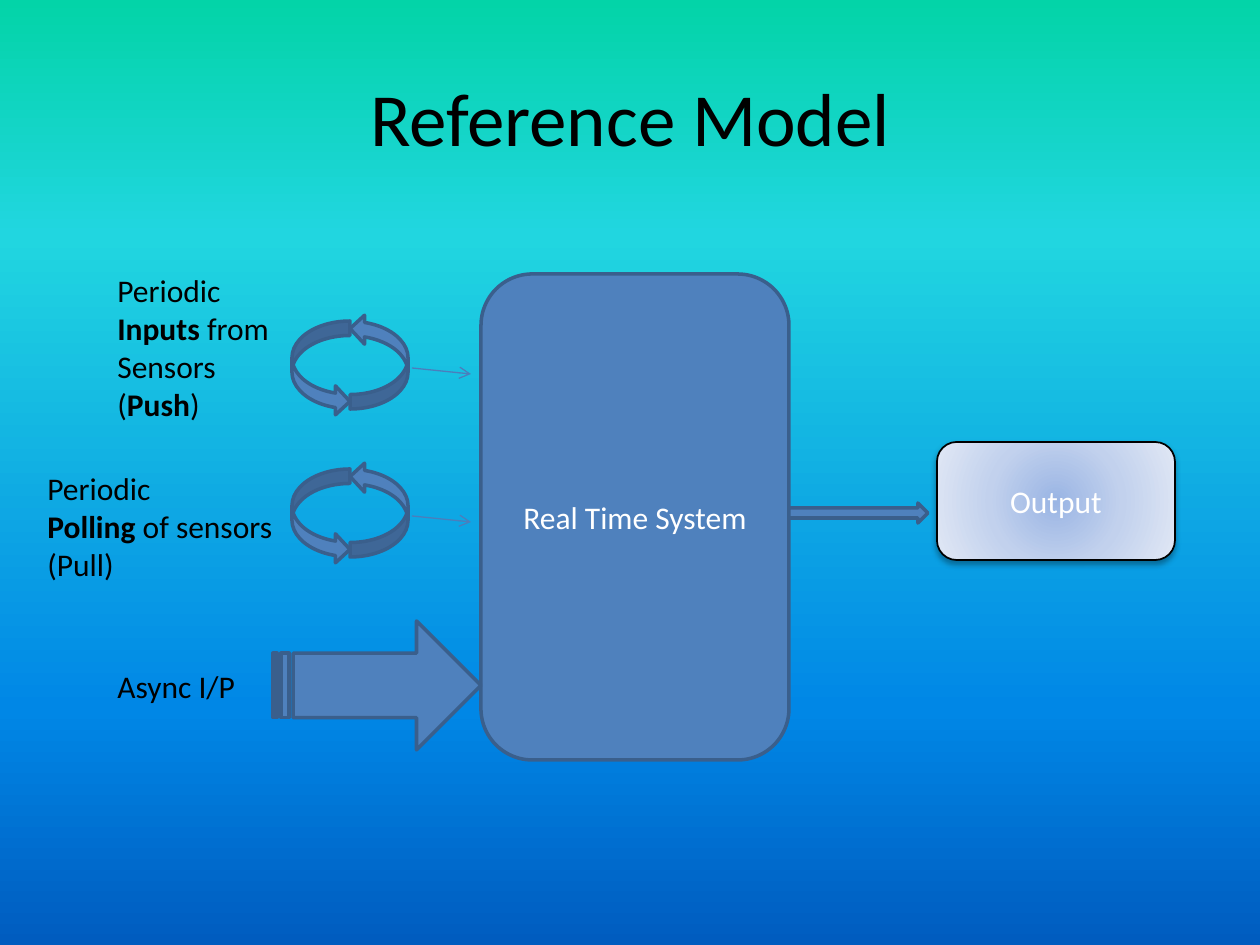
from lxml.etree import SubElement
from pptx import Presentation
from pptx.dml.color import RGBColor
from pptx.enum.shapes import MSO_CONNECTOR, MSO_SHAPE as Preset
from pptx.enum.text import MSO_ANCHOR as Anchor, MSO_AUTO_SIZE as AutoSize, PP_ALIGN as Align
from pptx.oxml import parse_xml
from pptx.oxml.ns import nsdecls, qn
from pptx.util import Pt


class Theme:
    font = "Calibri"
    title_size, text_size = 42.9, 18
    text, light_text = "000000", "FFFFFF"
    fill, outline, feed = "4F81BD", "3A5F8C", "4B7EBC"
    background = [(0, "03D4A8"), (25, "21D6E0"), (75, "0087E6"), (100, "005CBF")]
    output = [(0, "9AB5E4"), (50, "C2D1ED"), (100, "E1E8F5")]


# Content: paragraphs are lists of (text, bold) spans; places are in px
TITLE = [[("Reference Model", False)]]
TITLE_PLACE = (63, 38, 1134, 157)
LABELS = [
    ((105, 265, 178, 165), [
        [("Periodic", False)],
        [("Inputs", True), (" from", False)],
        [("Sensors", False)],
        [("(", False), ("Push", True), (")", False)]]),
    ((35, 463, 252, 127), [
        [("Periodic", False)],
        [("Polling", True), (" of sensors", False)],
        [("(Pull)", False)]]),
    ((105, 661, 144, 51), [[("Async I/P", False)]]),
]
SYSTEM = ("Real Time System", (481, 274, 308, 486))
OUTPUT = ("Output", (937, 442, 238, 118))
OUTPUT_ARROW = (789, 503, 139, 20)
ASYNC_ARROW = (273, 621, 208, 129)
LOOP_TOPS = (314, 462)
LOOP_LEFT, HALF_WIDTH, HALF_HEIGHT, HALF_DROP = 292, 58, 95, 7

PX = 914400 / 126


def emu(*lengths):
    return [round(length * PX) for length in lengths]


def color(value):
    return RGBColor.from_string(value)


def set_gradient(fill, parent, stops, direction):
    """Give the fill these stops; direction is the a:lin or a:path element."""
    fill.gradient()
    old = parent.find(qn("a:gradFill"))
    marks = "".join(f'<a:gs pos="{pos * 1000}"><a:srgbClr val="{value}"/></a:gs>'
                    for pos, value in stops)
    parent.replace(old, parse_xml(
        f'<a:gradFill {nsdecls("a")} rotWithShape="1">'
        f"<a:gsLst>{marks}</a:gsLst>{direction}</a:gradFill>"))


def write(frame, paragraphs, size, value, align=Align.LEFT):
    for index, spans in enumerate(paragraphs):
        para = frame.paragraphs[0] if index == 0 else frame.add_paragraph()
        para.alignment = align
        for text, bold in spans:
            span = para.add_run()
            span.text = text
            span.font.name, span.font.size = Theme.font, Pt(size)
            span.font.bold, span.font.color.rgb = bold, color(value)


def add_block(page, preset, place, text=None):
    block = page.shapes.add_shape(preset, *emu(*place))
    block.shadow.inherit = False
    block.fill.solid()
    block.fill.fore_color.rgb = color(Theme.fill)
    block.line.color.rgb = color(Theme.outline)
    block.line.width = Pt(2)
    if text:
        block.text_frame.vertical_anchor = Anchor.MIDDLE
        write(block.text_frame, [[(text, False)]], Theme.text_size,
              Theme.light_text, Align.CENTER)
    return block


def add_feed(page, *ends):
    feed = page.shapes.add_connector(MSO_CONNECTOR.STRAIGHT, *emu(*ends))
    feed.line.color.rgb = color(Theme.feed)
    feed.line.width = Pt(0.75)
    SubElement(feed.line._get_or_add_ln(), qn("a:tailEnd"), type="arrow")
    SubElement(feed._element.spPr, qn("a:effectLst"))


def add_loop(page, top):
    """Two curved arrows chasing each other, and a line into the system."""
    middle = LOOP_LEFT + HALF_WIDTH
    add_block(page, Preset.CURVED_RIGHT_ARROW,
              (LOOP_LEFT, top + HALF_DROP, HALF_WIDTH, HALF_HEIGHT))
    back = add_block(page, Preset.CURVED_RIGHT_ARROW,
                     (middle, top, HALF_WIDTH, HALF_HEIGHT))
    back.rotation = 180
    add_feed(page, 412, top + 54, 471, top + 60)


def add_output(page):
    text, place = OUTPUT
    box = add_block(page, Preset.ROUNDED_RECTANGLE, place, text)
    properties = box._element.spPr
    set_gradient(box.fill, properties, Theme.output,
                 '<a:path path="circle"><a:fillToRect l="50000" t="50000" '
                 'r="50000" b="50000"/></a:path>')
    box.line.color.rgb = color(Theme.text)
    box.line.width = Pt(1)
    shadow = SubElement(properties.find(qn("a:effectLst")), qn("a:outerShdw"),
                        blurRad=str(Pt(3.5)), dist=str(Pt(2.2)),
                        dir="5400000", rotWithShape="0")
    shade = SubElement(shadow, qn("a:srgbClr"), val=Theme.text)
    SubElement(shade, qn("a:alpha"), val="32000")


def main():
    deck = Presentation()
    deck.slide_width, deck.slide_height = emu(1260, 945)
    page = deck.slides.add_slide(deck.slide_layouts[5])

    # Background
    backdrop = page.background.fill
    backdrop.solid()
    set_gradient(backdrop, page._element.cSld.bg.bgPr, Theme.background,
                 '<a:lin ang="5400000" scaled="0"/>')

    # Title
    title = page.shapes.title
    title.left, title.top, title.width, title.height = emu(*TITLE_PLACE)
    title.text_frame.auto_size = AutoSize.NONE
    title.text_frame.vertical_anchor = Anchor.MIDDLE
    write(title.text_frame, TITLE, Theme.title_size, Theme.text, Align.CENTER)

    # System, inputs and output
    text, place = SYSTEM
    add_block(page, Preset.ROUNDED_RECTANGLE, place, text)
    for top in LOOP_TOPS:
        add_loop(page, top)
    add_output(page)
    add_block(page, Preset.RIGHT_ARROW, OUTPUT_ARROW)
    add_block(page, Preset.STRIPED_RIGHT_ARROW, ASYNC_ARROW)

    # Input labels
    for place, paragraphs in LABELS:
        box = page.shapes.add_textbox(*emu(*place))
        box.text_frame.word_wrap = False
        box.text_frame.auto_size = AutoSize.SHAPE_TO_FIT_TEXT
        write(box.text_frame, paragraphs, Theme.text_size, Theme.text)

    deck.save("out.pptx")


if __name__ == "__main__":
    main()
